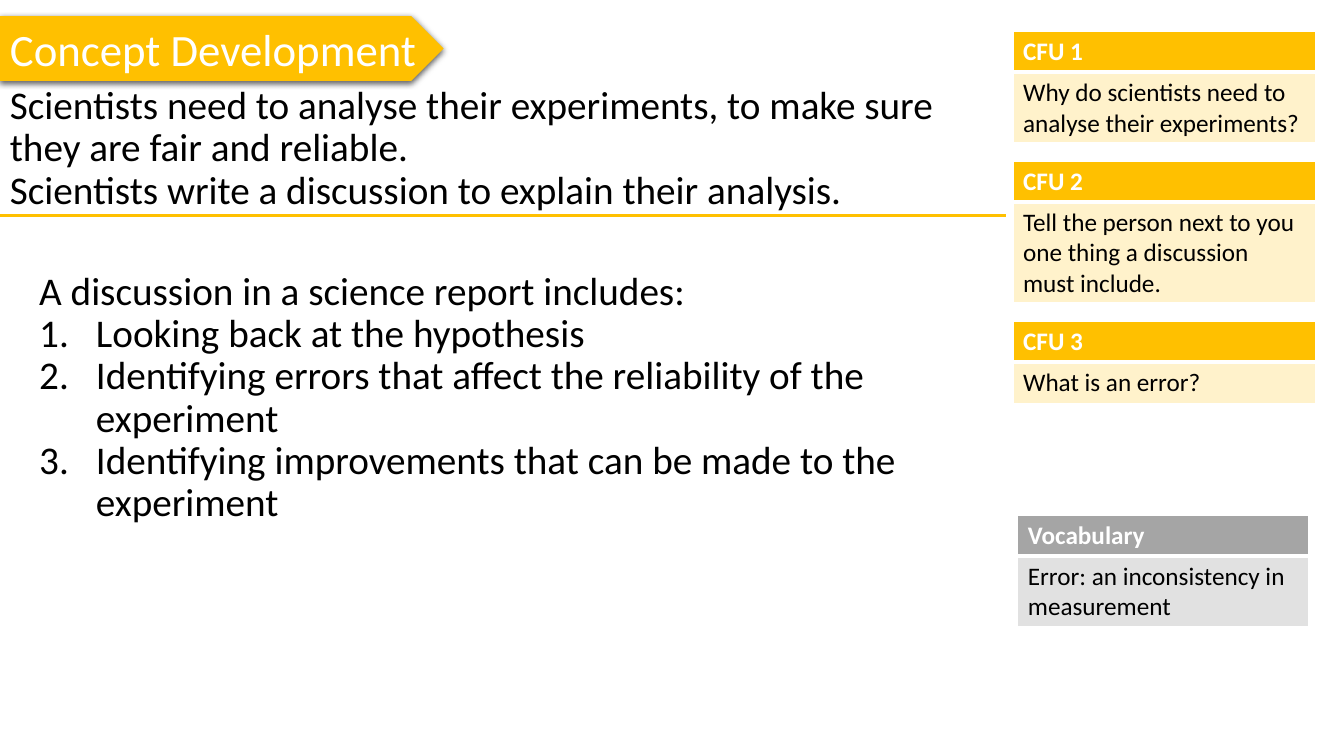
"""Build the Concept Development slide on analysing experiments."""
from lxml import etree
from pptx import Presentation
from pptx import util as u
from pptx.dml.color import RGBColor
from pptx.enum import shapes, text
from pptx.oxml import ns

COLOURS = {"gold": "FFC000", "cream": "FFE699", "grey": "A5A5A5",
           "pale": "E1E1E1", "white": "FFFFFF", "black": "000000"}


def add_xml(parent, tag, **attributes):
    return etree.SubElement(parent, ns.qn(tag), attributes)


def style(paragraph, size, colour, bold=False):
    for run in paragraph.runs:
        run.font.name = "Calibri"
        run.font.size = u.Pt(size)
        run.font.bold = bold
        run.font.color.rgb = RGBColor.from_string(COLOURS[colour])


deck = Presentation()
deck.slide_width, deck.slide_height = u.Cm(33.87), u.Cm(19.05)
slide = deck.slides.add_slide(deck.slide_layouts[6])

heading = slide.shapes.add_shape(
    shapes.MSO_SHAPE.PENTAGON, u.Cm(0), u.Cm(0.41), u.Cm(11.18), u.Cm(1.63))
heading.fill.solid()
heading.fill.fore_color.rgb = RGBColor.from_string(COLOURS["gold"])
heading.line.fill.background()
heading.shadow.inherit = False
effects = heading._element.spPr.find(ns.qn("a:effectLst"))
shadow = add_xml(effects, "a:outerShdw", blurRad="57150", dist="19050",
                 dir="5400000", algn="ctr", rotWithShape="0")
add_xml(add_xml(shadow, "a:srgbClr", val=COLOURS["black"]), "a:alpha", val="63000")
heading.text_frame.text = "Concept Development"
heading.text_frame.word_wrap = False
heading.text_frame.paragraphs[0].alignment = text.PP_ALIGN.LEFT
style(heading.text_frame.paragraphs[0], 32, "white")

passages = [
    (0, 2.03, 24.79, 3.63, False,
     ["Scientists need to analyse their experiments, to make sure they are fair and reliable.",
      "Scientists write a discussion to explain their analysis."]),
    (0.74, 6.71, 25.55, 8.74, True,
     ["A discussion in a science report includes:",
      "Looking back at the hypothesis",
      "Identifying errors that affect the reliability of the experiment",
      "Identifying improvements that can be made to the experiment"]),
]
for left, top, width, height, numbered, sentences in passages:
    passage = slide.shapes.add_textbox(u.Cm(left), u.Cm(top), u.Cm(width), u.Cm(height))
    passage.text_frame.word_wrap = True
    passage.text_frame.text = "\n".join(sentences)
    for position, sentence in enumerate(passage.text_frame.paragraphs):
        sentence.line_spacing = 0.9
        if numbered and position > 0:
            properties = sentence._p.get_or_add_pPr()
            properties.set("marL", str(u.Cm(1.43)))
            properties.set("indent", str(-u.Cm(1.43)))
            add_xml(properties, "a:buFont", typeface="+mj-lt")
            add_xml(properties, "a:buAutoNum", type="arabicPeriod")
        style(sentence, 28, "black")

divider = slide.shapes.add_connector(
    shapes.MSO_CONNECTOR.STRAIGHT, u.Cm(0), u.Cm(5.44), u.Cm(25.35), u.Cm(5.44))
divider.line.color.rgb = RGBColor.from_string(COLOURS["gold"])
divider.line.width = u.Pt(2.25)
add_xml(divider._element.spPr, "a:effectLst")

cards = [
    ("CFU 1", "Why do scientists need to analyse their experiments?",
     25.53, 0.79, 7.62, 1.78, "gold", "cream"),
    ("CFU 2", "Tell the person next to you one thing a discussion must include.",
     25.53, 4.06, 7.62, 2.54, "gold", "cream"),
    ("CFU 3", "What is an error?", 25.53, 8.1, 7.62, 1.03, "gold", "cream"),
    ("Vocabulary", "Error: an inconsistency in measurement",
     25.65, 12.98, 7.34, 1.78, "grey", "pale"),
]
for title, detail, left, top, width, detail_height, title_fill, detail_fill in cards:
    card = slide.shapes.add_table(
        2, 1, u.Cm(left), u.Cm(top), u.Cm(width), u.Cm(1.03 + detail_height)).table
    rows = [(title, 1.03, title_fill, "white", True, 3),
            (detail, detail_height, detail_fill, "black", False, 1)]
    for index, (words, height, fill, ink, bold, bottom) in enumerate(rows):
        card.rows[index].height = u.Cm(height)
        cell = card.cell(index, 0)
        cell.text = words
        style(cell.text_frame.paragraphs[0], 18, ink, bold)
        borders = cell._tc.get_or_add_tcPr()
        top_border = 3 if index else 1
        for side, points in (("L", 1), ("R", 1), ("T", top_border), ("B", bottom)):
            border = add_xml(borders, f"a:ln{side}", w=str(u.Pt(points)))
            add_xml(add_xml(border, "a:solidFill"), "a:srgbClr", val=COLOURS["white"])
        cell.fill.solid()
        cell.fill.fore_color.rgb = RGBColor.from_string(COLOURS[fill])
        if fill == "cream":
            tint = borders.find(ns.qn("a:solidFill")).find(ns.qn("a:srgbClr"))
            add_xml(tint, "a:alpha", val="50000")

deck.save("out.pptx")
